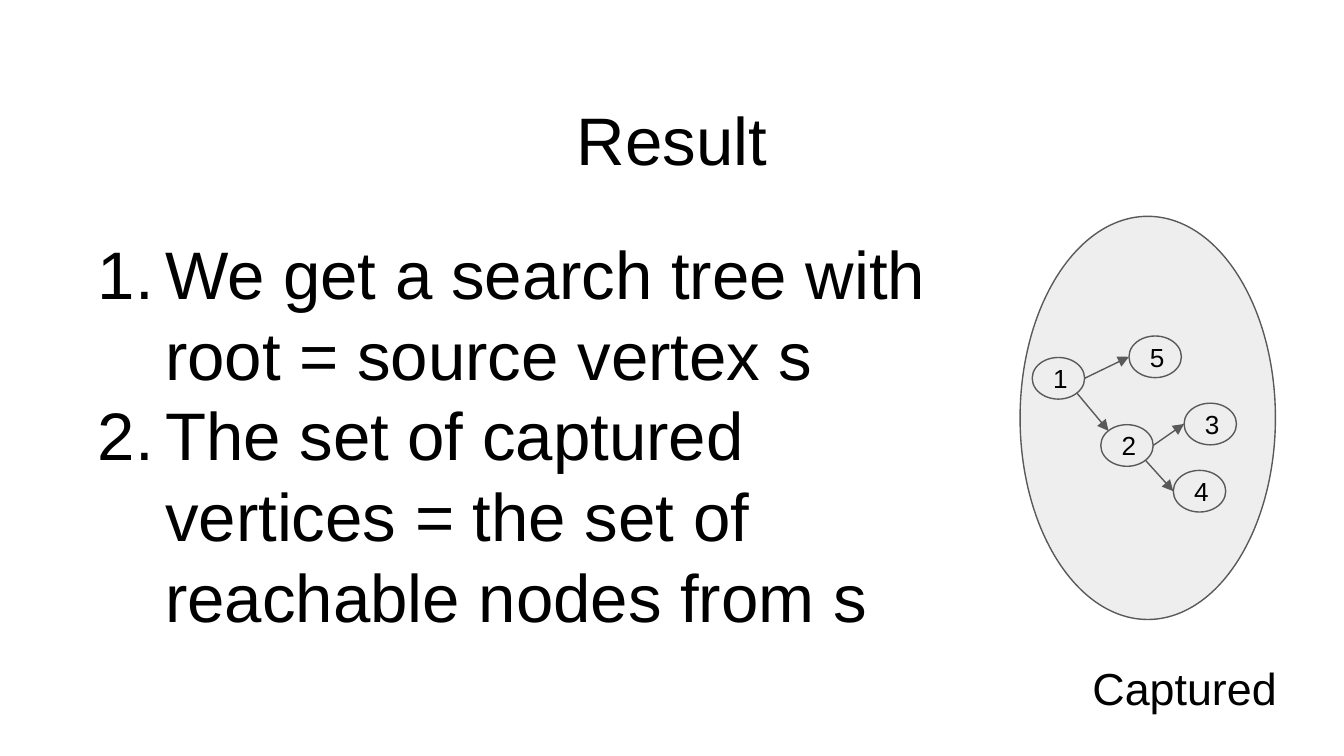
from lxml import etree
from pptx import Presentation
from pptx.dml.color import RGBColor
from pptx.enum.shapes import MSO_CONNECTOR, MSO_SHAPE
from pptx.enum.text import MSO_ANCHOR, PP_ALIGN
from pptx.oxml.ns import qn
from pptx.util import Inches, Pt

STRAIGHT = MSO_CONNECTOR.STRAIGHT
OVAL = MSO_SHAPE.OVAL
FLOW_CONNECTOR = MSO_SHAPE.FLOWCHART_CONNECTOR
TOP, MIDDLE = MSO_ANCHOR.TOP, MSO_ANCHOR.MIDDLE
LEFT, CENTER = PP_ALIGN.LEFT, PP_ALIGN.CENTER

FONT = "Arial"
BLACK, GRAY, PALE = "000000", "595959", "EEEEEE"
NODE_WIDTH, NODE_HEIGHT = 0.39, 0.31
NODES = {
    "1": (7.68, 2.66),
    "2": (8.19, 3.16),
    "5": (8.4, 2.5),
    "3": (8.81, 3),
    "4": (8.73, 3.5),
}
RIGHT_SIDE, LEFT_SIDE = (1, 0.5), (0, 0.5)
LOWER_RIGHT, UPPER_LEFT = (0.85, 0.85), (0.15, 0.15)
EDGES = [
    ("1", LOWER_RIGHT, "2", UPPER_LEFT),
    ("1", RIGHT_SIDE, "5", LEFT_SIDE),
    ("2", RIGHT_SIDE, "3", LEFT_SIDE),
    ("2", LOWER_RIGHT, "4", LEFT_SIDE),
]
RESULTS = [
    "We get a search tree with root = source vertex s",
    "The set of captured vertices = the set of reachable nodes from s",
]


def color(value):
    return RGBColor.from_string(value)


def number_paragraph(paragraph):
    properties = paragraph._p.get_or_add_pPr()
    properties.set("marL", str(Inches(0.5)))
    properties.set("indent", str(Inches(-0.5)))
    bullet_color = etree.SubElement(properties, qn("a:buClr"))
    etree.SubElement(bullet_color, qn("a:srgbClr"), val=BLACK)
    etree.SubElement(properties, qn("a:buFont"), typeface=FONT)
    etree.SubElement(properties, qn("a:buAutoNum"), type="arabicPeriod")


def write_text(shape, lines, size, anchor=TOP, align=LEFT, numbered=False):
    frame = shape.text_frame
    frame.word_wrap = True
    frame.vertical_anchor = anchor
    frame.margin_left = frame.margin_right = Inches(0.1)
    frame.margin_top = frame.margin_bottom = Inches(0.1)
    frame.text = "\n".join(lines)
    for paragraph in frame.paragraphs:
        paragraph.alignment = align
        paragraph.line_spacing = 1.0
        paragraph.space_before = Pt(0)
        if numbered:
            number_paragraph(paragraph)
        paragraph.font.size = Pt(size)
        paragraph.font.name = FONT
        paragraph.font.color.rgb = color(BLACK)


def add_title(slide, text):
    title = slide.shapes.title
    title.left, title.top = Inches(0.34), Inches(0.57)
    title.width, title.height = Inches(9.32), Inches(0.92)
    write_text(title, [text], 36, MIDDLE, CENTER)


def add_text(slide, left, top, width, height, lines, size, **options):
    box = slide.shapes.add_textbox(Inches(left), Inches(top), Inches(width), Inches(height))
    write_text(box, lines, size, **options)


def add_outlined_shape(slide, kind, left, top, width, height):
    shape = slide.shapes.add_shape(kind, Inches(left), Inches(top), Inches(width), Inches(height))
    shape.shadow.inherit = False
    shape.fill.solid()
    shape.fill.fore_color.rgb = color(PALE)
    shape.line.color.rgb = color(GRAY)
    shape.line.width = Pt(0.75)
    return shape


def add_node(slide, label):
    node = add_outlined_shape(slide, OVAL, *NODES[label], NODE_WIDTH, NODE_HEIGHT)
    write_text(node, [label], 14, MIDDLE)


def node_point(label, position):
    left, top = NODES[label]
    across, down = position
    return Inches(left + across * NODE_WIDTH), Inches(top + down * NODE_HEIGHT)


def add_edge(slide, source, source_position, target, target_position):
    start = node_point(source, source_position)
    end = node_point(target, target_position)
    edge = slide.shapes.add_connector(STRAIGHT, *start, *end)
    edge.line.color.rgb = color(GRAY)
    edge.line.width = Pt(0.75)
    etree.SubElement(edge.line._get_or_add_ln(), qn("a:tailEnd"), type="triangle")
    etree.SubElement(edge._element.spPr, qn("a:effectLst"))


def main():
    presentation = Presentation()
    presentation.slide_width = Inches(10)
    presentation.slide_height = Inches(10) * 9 // 16
    slide = presentation.slides.add_slide(presentation.slide_layouts[5])

    add_title(slide, "Result")
    add_outlined_shape(slide, FLOW_CONNECTOR, 7.59, 1.61, 1.9, 3)
    add_text(slide, 8.03, 4.82, 1.63, 0.5, ["Captured"], 24)
    for label in NODES:
        add_node(slide, label)
    for edge in EDGES:
        add_edge(slide, *edge)
    add_text(slide, 0.63, 1.63, 6.41, 3.88, RESULTS, 36, numbered=True)

    presentation.save("out.pptx")


if __name__ == "__main__":
    main()
